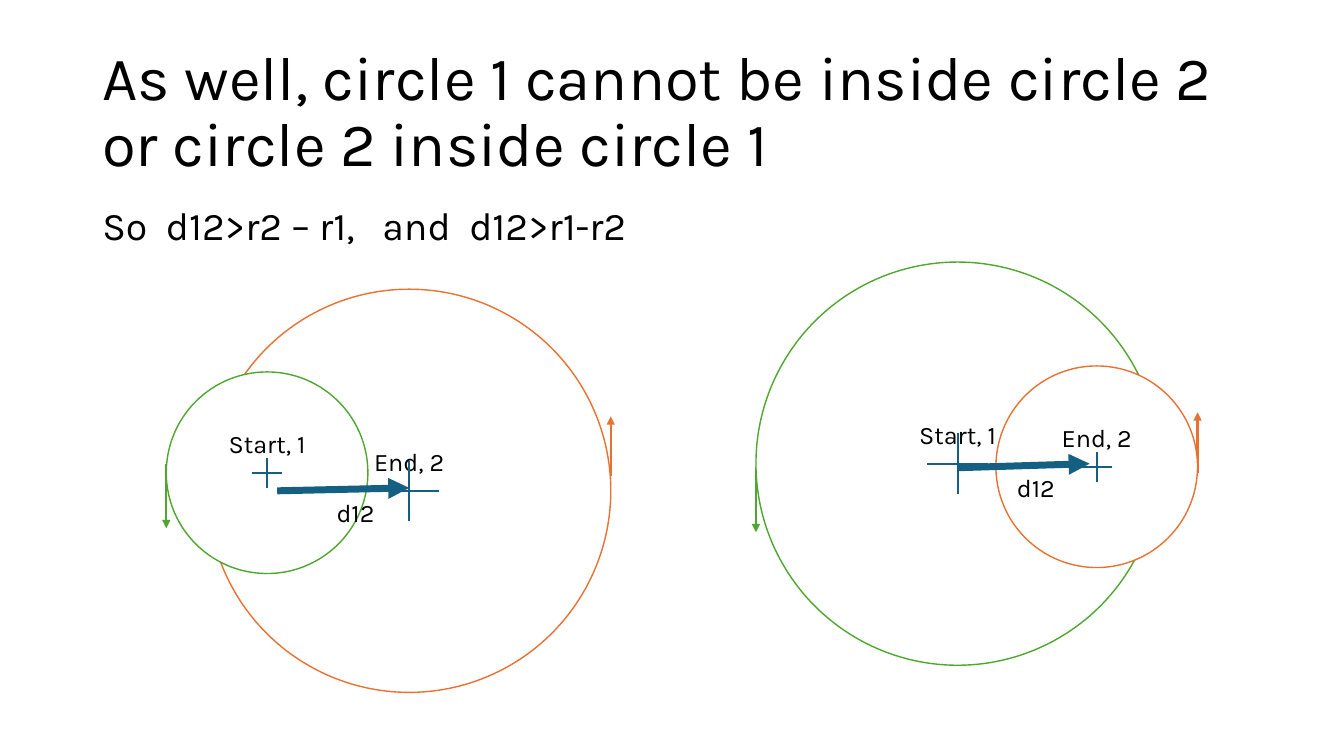
from pptx import Presentation
from pptx import util as u
from pptx.dml.color import RGBColor
from pptx.enum import shapes, text
from pptx.oxml.ns import qn
from lxml import etree

THEME = {
    "font": "Karla", "ink": "000000", "paper": "FFFFFF",
    "start": "4EA72E", "end": "E97132", "distance": "156082",
    "title": 44, "body": 28, "label": 18,
    "outline": 1, "thin": 1.5, "thick": 5,
}
SLIDE = (960, 540)
HEADINGS = [
    {"words": "As well, circle 1 cannot be inside circle 2 or circle 2 inside circle 1",
     "frame": (66, 28.8, 828, 104.4), "size": "title", "before": 0,
     "anchor": text.MSO_ANCHOR.MIDDLE},
    {"words": "So  d12>r2 – r1,   and  d12>r1-r2",
     "frame": (66, 144, 828, 342.7), "size": "body", "before": 10,
     "anchor": text.MSO_ANCHOR.TOP},
]
START, END = "Start, 1", "End, 2"
DIAGRAMS = [
    {"circles": [
        {"label": END, "role": "end", "center": (292.3, 350.6), "radius": 144,
         "side": 1, "turn": (339.8, 297.4)},
        {"label": START, "role": "start", "center": (190.8, 337.7), "radius": 72,
         "side": -1, "turn": (331.2, 377.3)}],
     "distance": ((198, 350.6), (292.3, 348.5)), "caption": (233.3, 351.4)},
    {"circles": [
        {"label": START, "role": "start", "center": (684, 331.2), "radius": 144,
         "side": -1, "turn": (333.4, 380.2)},
        {"label": END, "role": "end", "center": (783.4, 333.4), "radius": 72,
         "side": 1, "turn": (337.7, 294.5)}],
     "distance": ((684, 334.1), (778.3, 331.2)), "caption": (719.3, 334.1)},
]
CAPTION, CAPTION_SIZE = "d12", (43.9, 28.8)
CROSS_SHARE = 0.15
LABEL_LIFT = 21


def color(name):
    return RGBColor.from_string(THEME[name])


def points(values):
    return [u.Pt(value) for value in values]


def apply(target, values):
    for name, value in values.items():
        setattr(target, name, value)


def write(box, words, size, frame_format, para_format):
    frame = box.text_frame
    apply(frame, frame_format)
    para = frame.paragraphs[0]
    apply(para, para_format)
    span = para.add_run()
    span.text = words
    apply(span.font, {"name": THEME["font"], "size": u.Pt(THEME[size])})
    span.font.color.rgb = color("ink")


def add_line(parent, begin, end, role, width, arrow=False):
    line = parent.add_connector(shapes.MSO_CONNECTOR.STRAIGHT, *points(begin + end))
    line.line.color.rgb = color(role)
    line.line.width = u.Pt(THEME[width])
    if arrow:
        etree.SubElement(line.line._get_or_add_ln(), qn("a:tailEnd"), type="triangle")
    etree.SubElement(line._element.spPr, qn("a:effectLst"))


def add_heading(page, heading):
    box = page.shapes.add_textbox(*points(heading["frame"]))
    write(box, heading["words"], heading["size"],
          {"word_wrap": True, "vertical_anchor": heading["anchor"]},
          {"line_spacing": 0.9, "space_before": u.Pt(heading["before"])})


def add_turn(page, circle):
    x = circle["center"][0] + circle["side"] * circle["radius"]
    begin, end = circle["turn"]
    add_line(page.shapes, (x, begin), (x, end), circle["role"], "thin", True)


def add_circle(page, circle):
    (x, y), radius = circle["center"], circle["radius"]
    group = page.shapes.add_group_shape().shapes
    disc = group.add_shape(shapes.MSO_SHAPE.OVAL,
                           *points((x - radius, y - radius, 2 * radius, 2 * radius)))
    disc.shadow.inherit = False
    disc.fill.solid()
    disc.fill.fore_color.rgb = color("paper")
    disc.line.color.rgb = color(circle["role"])
    disc.line.width = u.Pt(THEME["outline"])
    write(disc, circle["label"], "label",
          {"word_wrap": True, "vertical_anchor": text.MSO_ANCHOR.MIDDLE,
           "margin_bottom": u.Pt(3.6 + 2 * LABEL_LIFT)},
          {"alignment": text.PP_ALIGN.CENTER})
    arm = radius * CROSS_SHARE
    for dx, dy in ((0, arm), (arm, 0)):
        add_line(group, (x - dx, y - dy), (x + dx, y + dy), "distance", "thin")


def add_diagram(page, diagram):
    for circle in diagram["circles"]:
        add_turn(page, circle)
    for circle in diagram["circles"]:
        add_circle(page, circle)
    add_line(page.shapes, *diagram["distance"], "distance", "thick", True)
    box = page.shapes.add_textbox(*points(diagram["caption"] + CAPTION_SIZE))
    write(box, CAPTION, "label",
          {"word_wrap": False, "auto_size": text.MSO_AUTO_SIZE.SHAPE_TO_FIT_TEXT}, {})


def main():
    deck = Presentation()
    deck.slide_width, deck.slide_height = points(SLIDE)
    page = deck.slides.add_slide(deck.slide_layouts[6])
    for heading in HEADINGS:
        add_heading(page, heading)
    for diagram in DIAGRAMS:
        add_diagram(page, diagram)
    deck.save("out.pptx")


if __name__ == "__main__":
    main()
